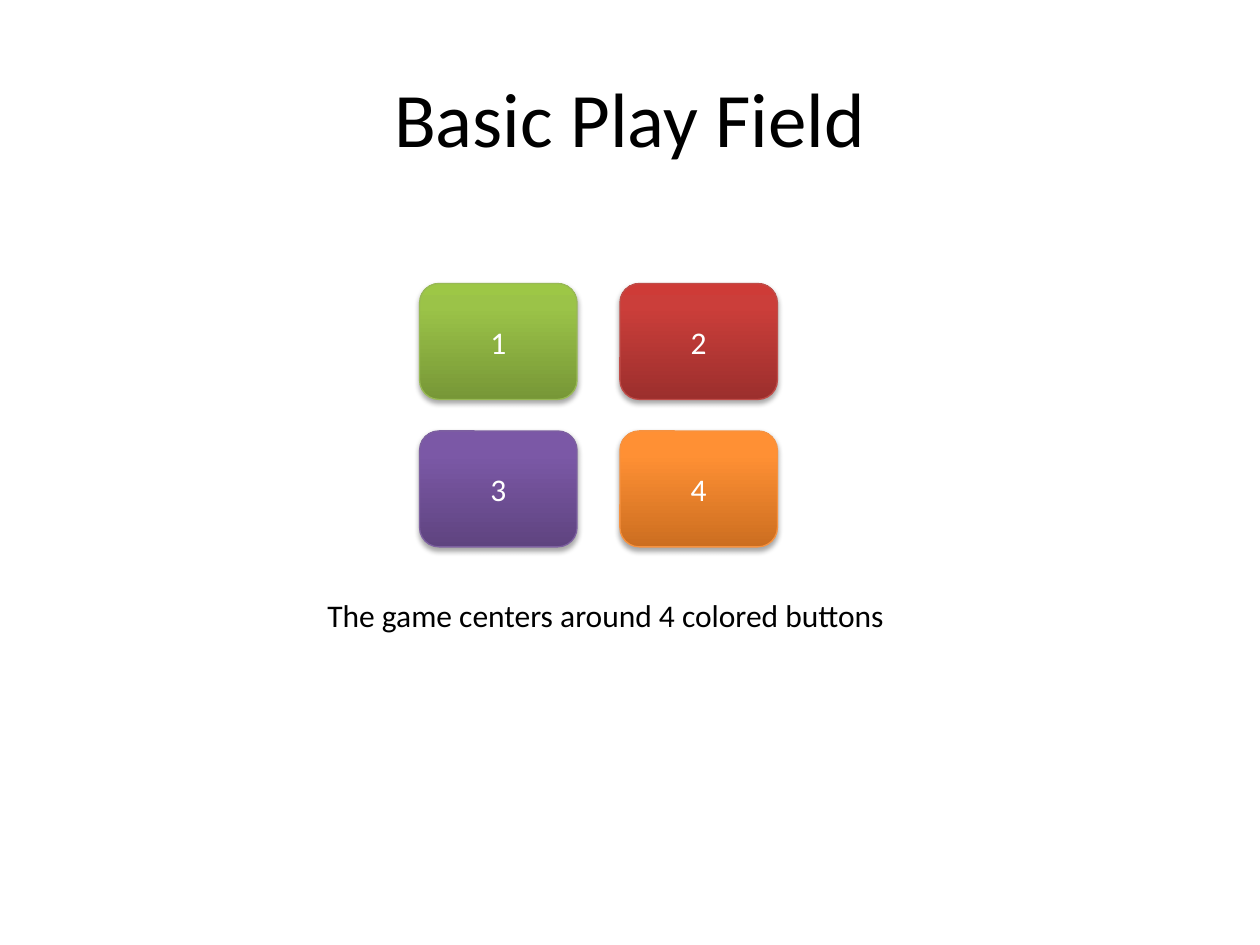
"""Build the Basic Play Field slide with its four game buttons."""
from pptx import Presentation
from pptx.dml.color import RGBColor
from pptx.enum.shapes import MSO_SHAPE
from pptx.enum.text import MSO_ANCHOR, PP_ALIGN
from pptx.oxml import parse_xml
from pptx.oxml.ns import nsdecls, qn
from pptx.util import Inches, Pt

TITLE = "Basic Play Field"
CAPTION = "The game centers around 4 colored buttons"
BLACK = RGBColor(0, 0, 0)
WHITE = RGBColor(255, 255, 255)
BUTTONS = [
    ("1", ("779737", "9BC348", "9DC746"), RGBColor(0x98, 0xB9, 0x55)),
    ("2", ("9C2F2D", "CB3E3A", "CE3B37"), RGBColor(0xBF, 0x4C, 0x48)),
    ("3", ("5F4480", "7B58A6", "7C57A8"), RGBColor(0x7D, 0x60, 0xA0)),
    ("4", ("CC6E20", "FF9034", "FF9136"), RGBColor(0xF6, 0x92, 0x40)),
]
STOPS = (0, 80, 100)
COLUMNS = 2
LEFT, TOP = 3.33, 2.25
WIDTH, HEIGHT = 1.25, 0.92
STEP_X, STEP_Y = 1.59, 1.17


def write(shape, text, size, color, align, anchor):
    frame = shape.text_frame
    frame.word_wrap = True
    frame.vertical_anchor = anchor
    para = frame.paragraphs[0]
    para.alignment = align
    span = para.add_run()
    span.text = text
    for name, value in {"name": "Calibri", "size": Pt(size)}.items():
        setattr(span.font, name, value)
    span.font.color.rgb = color


def shade(shape, colors):
    stops = "".join(
        f'<a:gs pos="{stop * 1000}"><a:srgbClr val="{color}"/></a:gs>'
        for stop, color in zip(STOPS, colors)
    )
    gradient = parse_xml(
        f'<a:gradFill {nsdecls("a")} rotWithShape="1"><a:gsLst>{stops}</a:gsLst>'
        '<a:lin ang="16200000" scaled="0"/></a:gradFill>'
    )
    shape.element.spPr.find(qn("a:prstGeom")).addnext(gradient)


def cast_shadow(shape):
    shape.shadow.inherit = False
    shadow = parse_xml(
        f'<a:outerShdw {nsdecls("a")} blurRad="{Pt(3.1)}" dist="{Pt(1.8)}" '
        'dir="5400000" rotWithShape="0"><a:srgbClr val="000000">'
        '<a:alpha val="35000"/></a:srgbClr></a:outerShdw>'
    )
    shape.element.spPr.find(qn("a:effectLst")).append(shadow)


def add_button(page, index, label, colors, outline):
    row, column = divmod(index, COLUMNS)
    place = (LEFT + column * STEP_X, TOP + row * STEP_Y, WIDTH, HEIGHT)
    button = page.shapes.add_shape(MSO_SHAPE.ROUNDED_RECTANGLE, *map(Inches, place))
    shade(button, colors)
    button.line.color.rgb = outline
    button.line.width = Pt(0.75)
    cast_shadow(button)
    write(button, label, 18, WHITE, PP_ALIGN.CENTER, MSO_ANCHOR.MIDDLE)


def main():
    deck = Presentation()
    deck.slide_width, deck.slide_height = Inches(10), Inches(7.5)
    page = deck.slides.add_slide(deck.slide_layouts[5])
    title = page.shapes.title
    title.left, title.top, title.width, title.height = map(Inches, (0.5, 0.3, 9, 1.25))
    write(title, TITLE, 44, BLACK, PP_ALIGN.CENTER, MSO_ANCHOR.MIDDLE)
    for index, button in enumerate(BUTTONS):
        add_button(page, index, *button)
    caption = page.shapes.add_textbox(*map(Inches, (2.5, 4.68, 5, 0.4)))
    write(caption, CAPTION, 18, BLACK, PP_ALIGN.LEFT, MSO_ANCHOR.TOP)
    deck.save("out.pptx")


if __name__ == "__main__":
    main()
